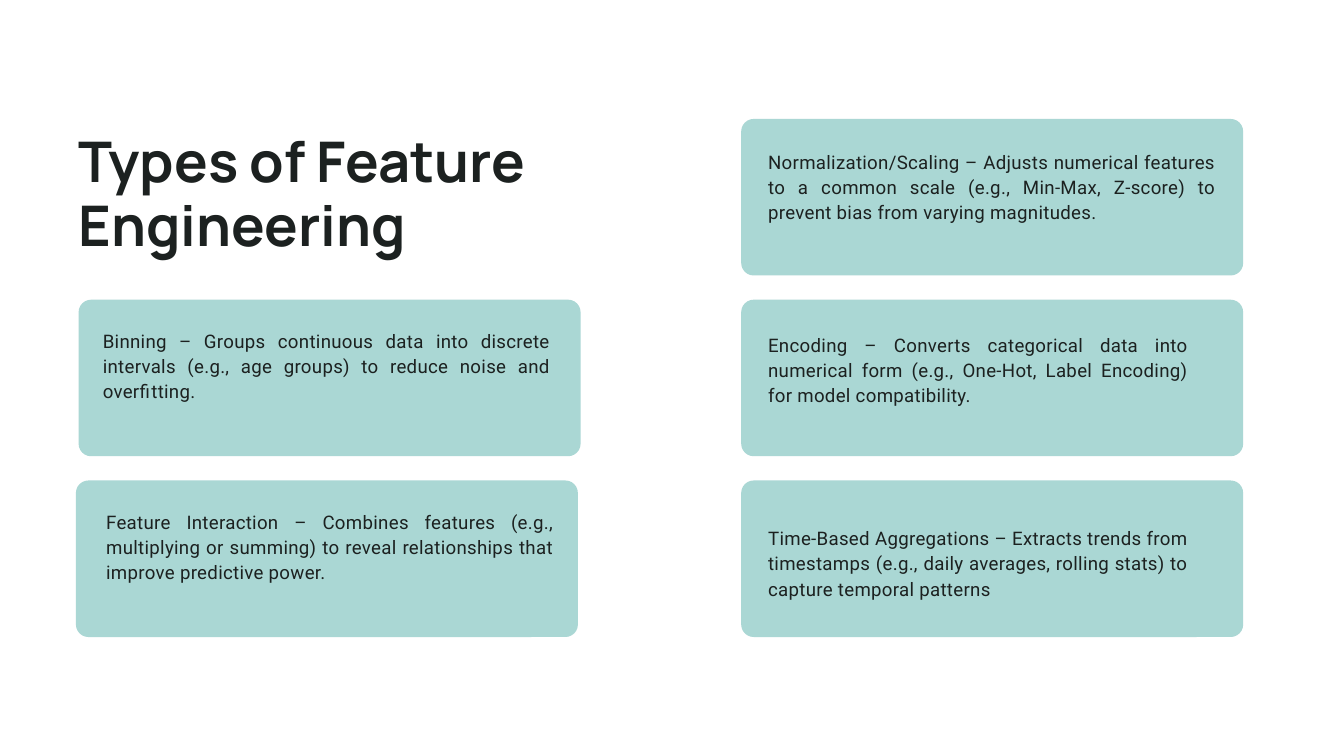
from pptx import Presentation
from pptx.dml.color import RGBColor
from pptx.enum.shapes import MSO_SHAPE
from pptx.enum.text import MSO_ANCHOR, MSO_AUTO_SIZE, PP_ALIGN
from pptx.util import Inches, Pt

INK = RGBColor(0x1C, 0x21, 0x20)
MINT = RGBColor(0xAA, 0xD7, 0xD4)

TITLE = "Types of Feature Engineering"
CARDS = [
    {"left": 11.03, "row": 0, "inset": (0.4, 0.43), "width": 6.66,
     "text": "Normalization/Scaling – Adjusts numerical features to a common scale "
             "(e.g., Min-Max, Z-score) to prevent bias from varying magnitudes."},
    {"left": 11.03, "row": 1, "inset": (0.4, 0.46), "width": 6.25,
     "text": "Encoding – Converts categorical data into numerical form "
             "(e.g., One-Hot, Label Encoding) for model compatibility."},
    {"left": 11.03, "row": 2, "inset": (0.4, 0.65), "width": 6.25,
     "text": "Time-Based Aggregations – Extracts trends from timestamps "
             "(e.g., daily averages, rolling stats) to capture temporal patterns"},
    {"left": 1.17, "row": 1, "inset": (0.36, 0.4), "width": 6.66,
     "text": "Binning – Groups continuous data into discrete intervals "
             "(e.g., age groups) to reduce noise and overfitting."},
    {"left": 1.13, "row": 2, "inset": (0.45, 0.41), "width": 6.66,
     "text": "Feature Interaction – Combines features (e.g., multiplying or summing) "
             "to reveal relationships that improve predictive power."},
]

CARD_WIDTH, CARD_HEIGHT = 7.47, 2.33
FIRST_TOP, ROW_STEP = 1.77, 2.69
CORNER = 0.08
TEXT_HEIGHT = 1.5


def write_text(shape, text, font, size, line, align, bold=False, spacing=0):
    frame = shape.text_frame
    frame.word_wrap = True
    frame.auto_size = MSO_AUTO_SIZE.NONE
    frame.vertical_anchor = MSO_ANCHOR.TOP
    frame.margin_left = frame.margin_right = 0
    frame.margin_top = frame.margin_bottom = 0
    paragraph = frame.paragraphs[0]
    paragraph.alignment = align
    paragraph.line_spacing = Pt(line)
    paragraph.space_before = Pt(0)
    run = paragraph.add_run()
    run.text = text
    run.font.name = font
    run.font.size = Pt(size)
    run.font.bold = bold
    run.font.color.rgb = INK
    run.font._element.set("spc", str(round(spacing * 100)))


def add_card(slide, card):
    left = card["left"]
    top = FIRST_TOP + card["row"] * ROW_STEP
    panel = slide.shapes.add_shape(
        MSO_SHAPE.ROUNDED_RECTANGLE,
        Inches(left), Inches(top), Inches(CARD_WIDTH), Inches(CARD_HEIGHT))
    panel.adjustments[0] = CORNER
    panel.shadow.inherit = False
    panel.fill.solid()
    panel.fill.fore_color.rgb = MINT
    panel.line.fill.background()

    inset_x, inset_y = card["inset"]
    box = slide.shapes.add_textbox(
        Inches(left + inset_x), Inches(top + inset_y),
        Inches(card["width"]), Inches(TEXT_HEIGHT))
    write_text(box, card["text"], font="Roboto", size=20, line=27,
               align=PP_ALIGN.JUSTIFY, spacing=0.3)


def main():
    presentation = Presentation()
    presentation.slide_width = Inches(20)
    presentation.slide_height = Inches(11.25)
    slide = presentation.slides.add_slide(presentation.slide_layouts[5])

    title = slide.shapes.title
    title.left, title.top = Inches(1.17), Inches(1.93)
    title.width, title.height = Inches(9.34), Inches(1.98)
    write_text(title, TITLE, font="Manrope", size=60, line=68.4,
               align=PP_ALIGN.LEFT, bold=True)

    for card in CARDS:
        add_card(slide, card)

    presentation.save("out.pptx")


if __name__ == "__main__":
    main()
